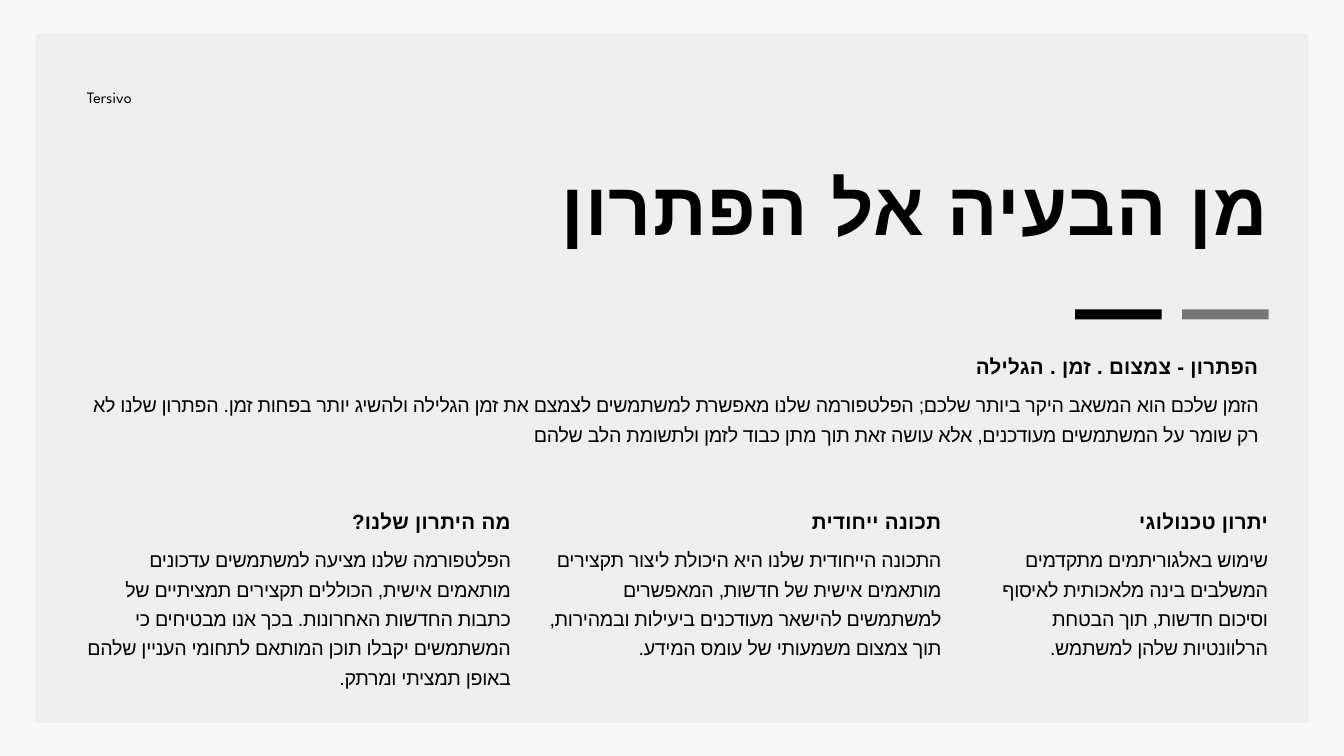
from lxml.etree import SubElement
from pptx import Presentation
from pptx.dml.color import RGBColor
from pptx.enum.shapes import MSO_SHAPE
from pptx.enum.text import MSO_ANCHOR as ANCHOR, MSO_AUTO_SIZE as AUTO, PP_ALIGN as ALIGN
from pptx.oxml.ns import qn
from pptx.util import Cm, Pt

# Content
BRAND = "Tersivo"
TITLE = "מן הבעיה אל הפתרון"
# Each block: left, top, width, body height (cm), heading font, heading, body
BLOCKS = [
    (2.87, 13.23, 44.7, 2.21, "Arial", "הפתרון - צמצום . זמן . הגלילה",
     "הזמן שלכם הוא המשאב היקר ביותר שלכם; הפלטפורמה שלנו מאפשרת למשתמשים לצמצם "
     "את זמן הגלילה ולהשיג יותר בפחות זמן. הפתרון שלנו לא רק שומר על המשתמשים "
     "מעודכנים, אלא עושה זאת תוך מתן כבוד לזמן ולתשומת הלב שלהם"),
    (3.23, 19.08, 16.08, 5.56, "Arial", "מה היתרון שלנו?",
     "הפלטפורמה שלנו מציעה למשתמשים עדכונים מותאמים אישית, הכוללים תקצירים "
     "תמציתיים של כתבות החדשות האחרונות. בכך אנו מבטיחים כי המשתמשים יקבלו תוכן "
     "המותאם לתחומי העניין שלהם באופן תמציתי ומרתק."),
    (20.14, 19.08, 15.44, 5.56, "Calibri", "תכונה ייחודית",
     "התכונה הייחודית שלנו היא היכולת ליצור תקצירים מותאמים אישית של חדשות, "
     "המאפשרים למשתמשים להישאר מעודכנים ביעילות ובמהירות, תוך צמצום משמעותי של "
     "עומס המידע."),
    (36.42, 19.08, 11.51, 4.45, "Calibri", "יתרון טכנולוגי",
     "שימוש באלגוריתמים מתקדמים המשלבים בינה מלאכותית לאיסוף וסיכום חדשות, תוך "
     "הבטחת הרלוונטיות שלהן למשתמש."),
]
COLORS = {"back": "F8F8F8", "panel": "EFEFEF", "ink": "000000"}

# Text styles
BODY = {"size": Pt(21), "name": "Arial", "bold": False}
HEAD = {"size": Pt(22), "name": "Arial", "bold": True}
TITLE_FONT = {"size": Pt(80), "name": "Calibri", "bold": True}
BRAND_FONT = {"size": Pt(17), "name": "League Spartan", "bold": False}
FRAME = {"margin_left": 0, "margin_top": 0, "margin_right": 0, "margin_bottom": 0,
         "word_wrap": True, "auto_size": AUTO.SHAPE_TO_FIT_TEXT,
         "vertical_anchor": ANCHOR.TOP}
# Letter spacing in hundredths of a point
BODY_SPACING, HEAD_SPACING, TITLE_SPACING = -30, 35, 130

HEAD_H, BODY_OFFSET = 1.07, 1.42
BAR_LEFT, BAR_TOP, BAR_W, BAR_H, BAR_STEP = 40.64, 11.7, 3.27, 0.38, 4.04


def set_all(obj, values):
    for name, value in values.items():
        setattr(obj, name, value)


def color(key):
    return RGBColor.from_string(COLORS[key])


def write(sp, text, font, leading, spacing=0, rtl=True):
    tf = sp.text_frame
    set_all(tf, FRAME)
    p = tf.paragraphs[0]
    set_all(p, {"alignment": ALIGN.RIGHT if rtl else ALIGN.LEFT,
                "line_spacing": Pt(leading), "space_before": Pt(0)})
    r = p.add_run()
    r.text = text
    set_all(r.font, font)
    r.font.color.rgb = color("ink")
    if rtl:
        p._p.get_or_add_pPr().set("rtl", "1")
        rPr = r._r.get_or_add_rPr()
        rPr.set("spc", str(spacing))
        SubElement(rPr, qn("a:cs"), typeface="Arial")


def add_text(s, box, *args, **kwargs):
    write(s.shapes.add_textbox(*map(Cm, box)), *args, **kwargs)


def add_rect(s, box, key, alpha=None):
    sp = s.shapes.add_shape(MSO_SHAPE.RECTANGLE, *map(Cm, box))
    sp.shadow.inherit = False
    sp.fill.solid()
    sp.fill.fore_color.rgb = color(key)
    sp.line.fill.background()
    if alpha is not None:
        clr = sp._element.spPr.find(".//" + qn("a:srgbClr"))
        SubElement(clr, qn("a:alpha"), val=str(alpha * 1000))


def main():
    prs = Presentation()
    prs.slide_width, prs.slide_height = Cm(50.8), Cm(28.58)
    s = prs.slides.add_slide(prs.slide_layouts[5])
    s.background.fill.solid()
    s.background.fill.fore_color.rgb = color("back")

    # Panel
    add_rect(s, (1.35, 1.27, 48.11, 26.06), "panel")

    # Headed text blocks
    for left, top, width, height, face, heading, body in BLOCKS:
        add_text(s, (left, top + BODY_OFFSET, width, height), body, BODY, 31.5, BODY_SPACING)
        add_text(s, (left, top, width, HEAD_H), heading, {**HEAD, "name": face}, 30.8,
                 HEAD_SPACING)

    # Title, raised above the panel
    title = s.shapes.title
    set_all(title, {"left": Cm(7.04), "top": Cm(6.35),
                    "width": Cm(40.92), "height": Cm(3.2)})
    write(title, TITLE, TITLE_FONT, 88, TITLE_SPACING)
    s.shapes._spTree.append(title._element)

    # Accent bars
    for i, alpha in enumerate((None, 50)):
        add_rect(s, (BAR_LEFT + i * BAR_STEP, BAR_TOP, BAR_W, BAR_H), "ink", alpha)

    # Brand line
    add_text(s, (3.28, 3.2, 16.43, 0.79), BRAND, BRAND_FONT, 23.8, rtl=False)

    prs.save("out.pptx")


if __name__ == "__main__":
    main()
